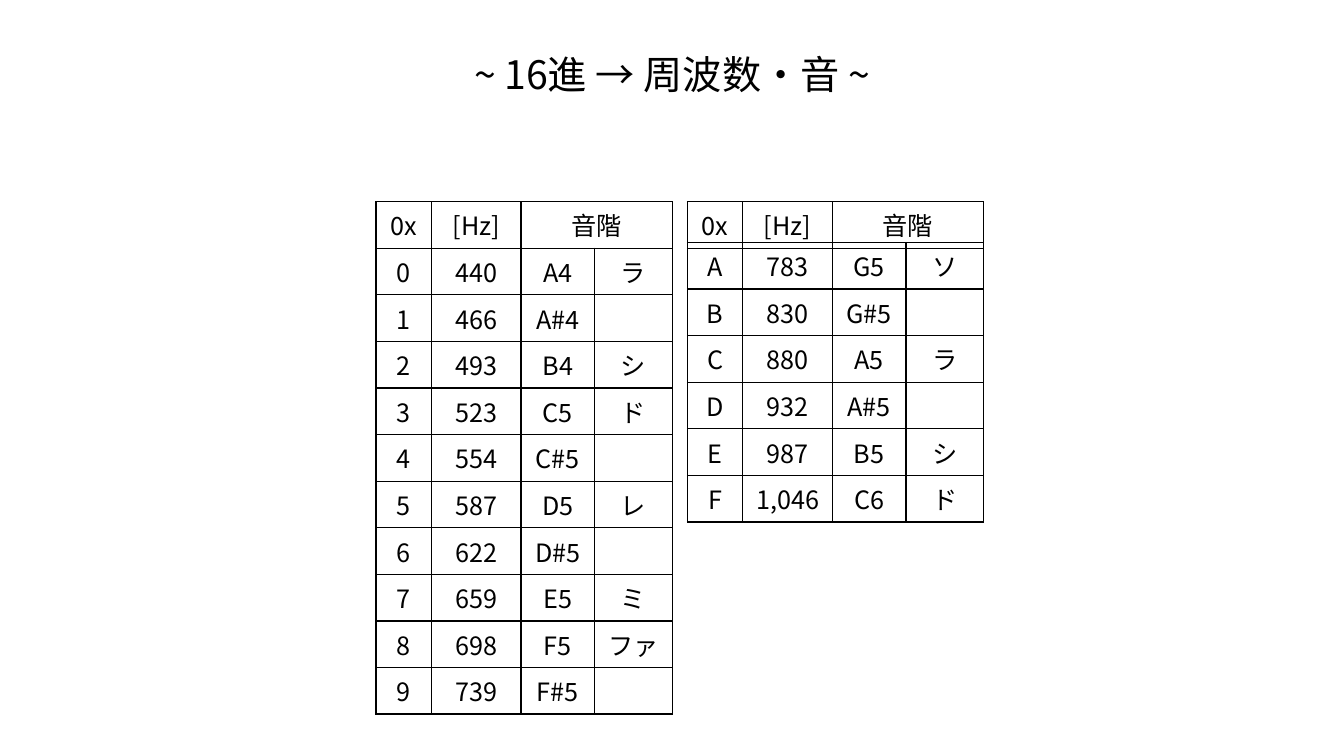
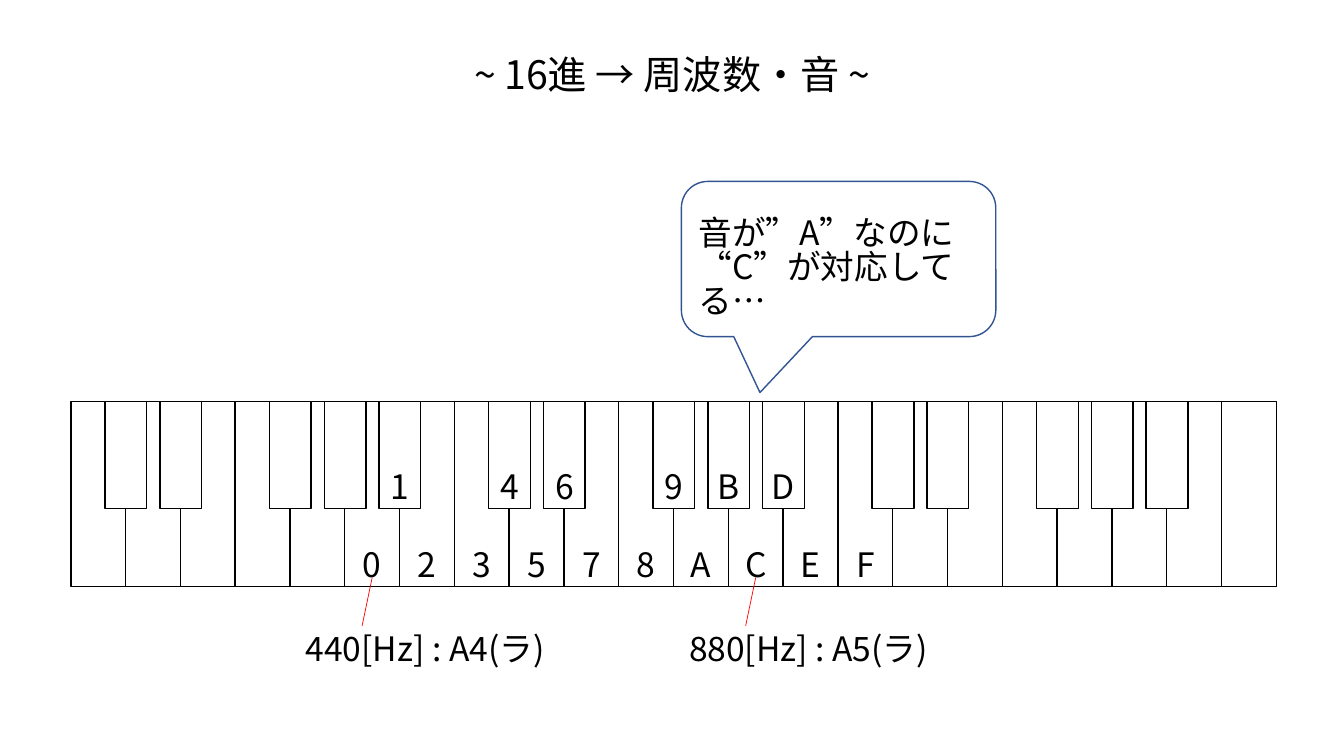
from dataclasses import dataclass

from lxml.etree import SubElement
from pptx import Presentation
from pptx.dml.color import RGBColor
from pptx.enum.shapes import MSO_CONNECTOR, MSO_SHAPE
from pptx.enum.text import MSO_ANCHOR, MSO_AUTO_SIZE, PP_ALIGN
from pptx.oxml.ns import qn
from pptx.util import Pt


@dataclass(frozen=True)
class Theme:
    font: str = "Noto Sans CJK JP"
    ink: RGBColor = RGBColor(0x00, 0x00, 0x00)
    paper: RGBColor = RGBColor(0xFF, 0xFF, 0xFF)
    callout: RGBColor = RGBColor(0x32, 0x54, 0x91)
    pointer: RGBColor = RGBColor(0xFF, 0x00, 0x00)
    title_size: float = 28
    text_size: float = 24
    table_size: float = 18
    tight: float = 0.85


THEME = Theme()
SLIDE_W, SLIDE_H = 960, 540
TITLE = "~ 16進 → 周波数・音 ~"

COLUMNS = (39.6, 64, 52.6, 55.4)
HEADER = ("0x", "[Hz]", "音階")
LOW_NOTES = (
    ("0", "440", "A4", "ラ"),
    ("1", "466", "A#4", ""),
    ("2", "493", "B4", "シ"),
    ("3", "523", "C5", "ド"),
    ("4", "554", "C#5", ""),
    ("5", "587", "D5", "レ"),
    ("6", "622", "D#5", ""),
    ("7", "659", "E5", "ミ"),
    ("8", "698", "F5", "ファ"),
    ("9", "739", "F#5", ""),
)
HIGH_NOTES = (
    ("A", "783", "G5", "ソ"),
    ("B", "830", "G#5", ""),
    ("C", "880", "A5", "ラ"),
    ("D", "932", "A#5", ""),
    ("E", "987", "B5", "シ"),
    ("F", "1,046", "C6", "ド"),
)

WHITE_KEYS = 22
OCTAVE = 7
SHARPS = (0, 1, 3, 4, 5)
FIRST_LABELLED = 5
WHITE_LABELS = dict(enumerate("023578ACEF", FIRST_LABELLED))
BLACK_LABELS = {5: "1", 7: "4", 8: "6", 10: "9", 11: "B", 12: "D"}


def style(paragraph, size, align=PP_ALIGN.LEFT, spacing=None):
    paragraph.alignment = align
    if spacing:
        paragraph.line_spacing = spacing
    font = paragraph.font
    font.size = Pt(size)
    font.name = THEME.font
    font.color.rgb = THEME.ink
    defaults = paragraph._p.get_or_add_pPr().get_or_add_defRPr()
    SubElement(defaults, qn("a:ea"), typeface=THEME.font)


def set_insets(frame, left, top, right, bottom):
    frame.margin_left, frame.margin_top = Pt(left), Pt(top)
    frame.margin_right, frame.margin_bottom = Pt(right), Pt(bottom)


def add_titled_slide(deck):
    slide = deck.slides.add_slide(deck.slide_layouts[5])
    title = slide.shapes.title
    title.left, title.top = Pt(0), Pt(37.4)
    title.width, title.height = Pt(SLIDE_W), Pt(41)
    frame = title.text_frame
    frame.text = TITLE
    frame.auto_size = MSO_AUTO_SIZE.NONE
    frame.vertical_anchor = MSO_ANCHOR.TOP
    style(frame.paragraphs[0], THEME.title_size, PP_ALIGN.CENTER, THEME.tight)
    return slide


def add_outlined(slide, kind, left, top, width, height, line):
    shape = slide.shapes.add_shape(kind, Pt(left), Pt(top), Pt(width), Pt(height))
    shape.shadow.inherit = False
    shape.fill.solid()
    shape.fill.fore_color.rgb = THEME.paper
    shape.line.color.rgb = line
    shape.line.width = Pt(1)
    return shape


def rule_cell(cell):
    """Give the cell a thin line on every side and no fill."""
    properties = cell._tc.get_or_add_tcPr()
    for side in ("a:lnL", "a:lnR", "a:lnT", "a:lnB"):
        border = SubElement(properties, qn(side), w=str(Pt(1)))
        fill = SubElement(border, qn("a:solidFill"))
        SubElement(fill, qn("a:srgbClr"), val=str(THEME.ink))
    cell.fill.background()


def add_note_table(slide, left, top, columns, rows, row_height=29.2):
    """Draw rows of notes; a short row spans its last cell to the right edge."""
    table = slide.shapes.add_table(
        len(rows), len(columns), Pt(left), Pt(top),
        Pt(sum(columns)), Pt(row_height * len(rows))).table
    table.first_row = table.horz_banding = False
    for column, width in zip(table.columns, columns):
        column.width = Pt(width)
    for r, row in enumerate(rows):
        table.rows[r].height = Pt(row_height)
        for c in range(len(columns)):
            cell = table.cell(r, c)
            cell.text = row[c] if c < len(row) else ""
            style(cell.text_frame.paragraphs[0], THEME.table_size, PP_ALIGN.CENTER)
            rule_cell(cell)
        if len(row) < len(columns):
            table.cell(r, len(row) - 1).merge(table.cell(r, len(columns) - 1))


def add_key(slide, left, top, width, height, label):
    key = add_outlined(slide, MSO_SHAPE.RECTANGLE, left, top, width, height, THEME.ink)
    if label:
        frame = key.text_frame
        frame.text = label
        frame.vertical_anchor = MSO_ANCHOR.BOTTOM
        set_insets(frame, 0, 0, 0, 2)
        style(frame.paragraphs[0], THEME.text_size, PP_ALIGN.CENTER, THEME.tight)


def add_keyboard(slide, left, top, width, height):
    pitch = width / WHITE_KEYS
    for i in range(WHITE_KEYS):
        add_key(slide, left + i * pitch, top, pitch, height, WHITE_LABELS.get(i))
    for i in range(WHITE_KEYS - 1):
        if i % OCTAVE in SHARPS:
            add_key(slide, left + i * pitch + 24.5, top, 29.8, height * 0.58,
                    BLACK_LABELS.get(i))


def add_pitch_caption(slide, x, top, width, caption):
    """Point a red line at x on the keyboard, with its caption below."""
    pointer = slide.shapes.add_connector(
        MSO_CONNECTOR.STRAIGHT, Pt(x - 7.2), Pt(top + 34.5), Pt(x), Pt(top))
    pointer.line.color.rgb = THEME.pointer
    pointer.line.width = Pt(0.5)
    SubElement(pointer._element.spPr, qn("a:effectLst"))
    box = slide.shapes.add_textbox(Pt(x - 54.7), Pt(top + 36.7), Pt(width), Pt(36))
    frame = box.text_frame
    frame.word_wrap = True
    frame.text = caption
    style(frame.paragraphs[0], THEME.text_size, spacing=THEME.tight)


def add_callout(slide, left, top, width, height, remark):
    bubble = add_outlined(slide, MSO_SHAPE.ROUNDED_RECTANGULAR_CALLOUT,
                          left, top, width, height, THEME.callout)
    for i, value in enumerate((-0.25, 0.86, 0.17)):
        bubble.adjustments[i] = value
    frame = bubble.text_frame
    frame.text = remark
    frame.word_wrap = True
    frame.vertical_anchor = MSO_ANCHOR.TOP
    set_insets(frame, 6.8, 20.5, 0, 0)
    style(frame.paragraphs[0], THEME.text_size, spacing=THEME.tight)


def build_table_slide(deck):
    slide = add_titled_slide(deck)
    low_left, high_left, top = 268.6, 491, 144
    add_note_table(slide, low_left, top, COLUMNS, (HEADER,) + LOW_NOTES)
    add_note_table(slide, high_left, top + 29.2, COLUMNS, HIGH_NOTES)
    merged = COLUMNS[:2] + (sum(COLUMNS[2:]),)
    add_note_table(slide, high_left, top, merged, (HEADER,))


def build_keyboard_slide(deck):
    slide = add_titled_slide(deck)
    left, top, width, height = 50.6, 286.6, 861, 132.5
    add_keyboard(slide, left, top, width, height)
    pitch = width / WHITE_KEYS
    captions = ((5, 195, "440[Hz] : A4(ラ)"), (12, 216, "880[Hz] : A5(ラ)"))
    for key, caption_width, caption in captions:
        add_pitch_caption(slide, left + (key + 0.5) * pitch, top + height - 6.5,
                          caption_width, caption)
    add_callout(slide, 486.7, 129.6, 224.6, 110.9, "音が”A”なのに\v“C”が対応してる…")


def main():
    deck = Presentation()
    deck.slide_width, deck.slide_height = Pt(SLIDE_W), Pt(SLIDE_H)
    build_table_slide(deck)
    build_keyboard_slide(deck)
    deck.save("out.pptx")


if __name__ == "__main__":
    main()
